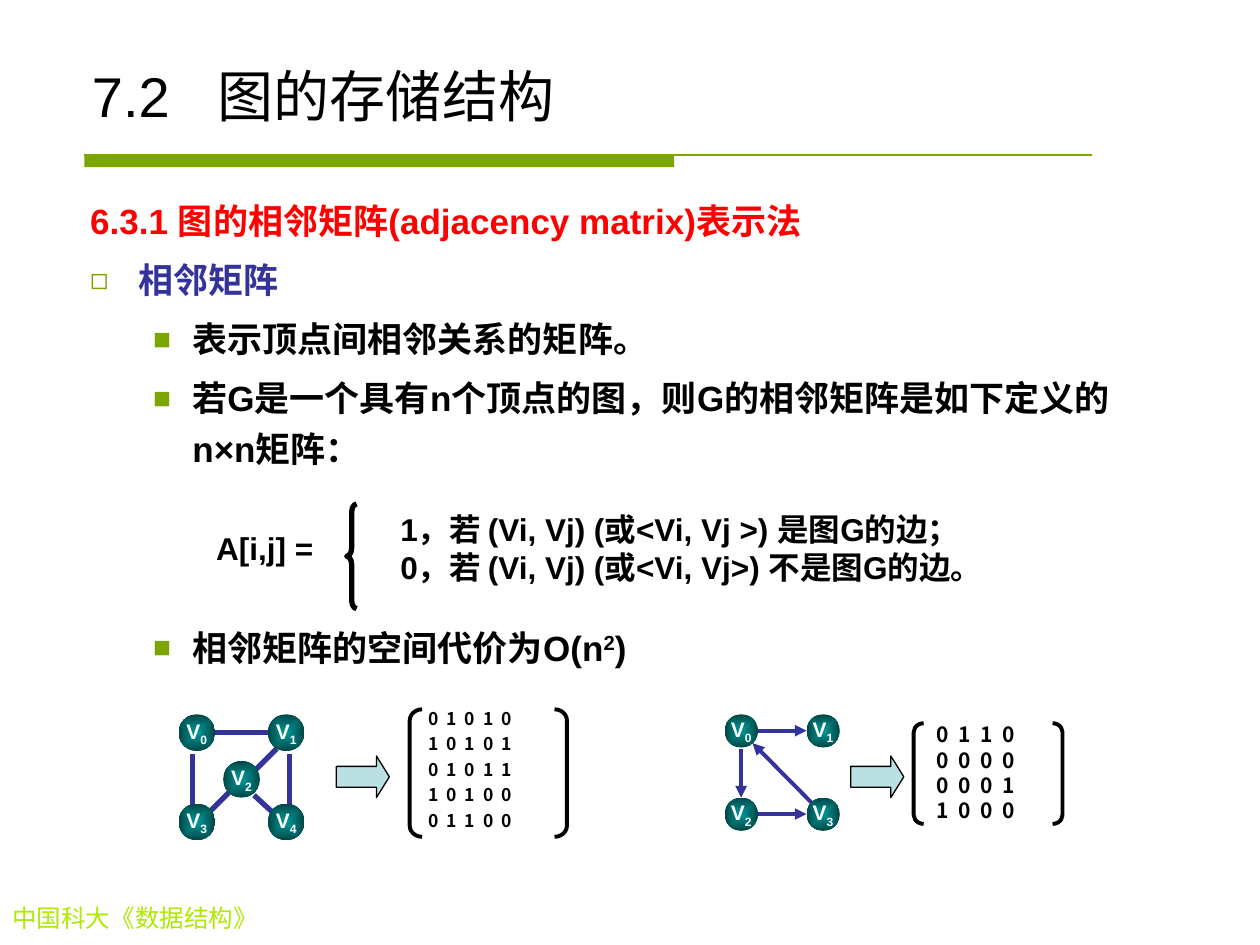
from lxml import etree
from pptx import Presentation
from pptx import util as u
from pptx.dml import color
from pptx.enum import shapes as kinds, text as t
from pptx.oxml import ns

GREEN, BLUE, BLACK = "7BA600", "333399", "000000"
CJK = "Noto Sans CJK SC"


def rgb(value):
    return color.RGBColor.from_string(value)


def child(parent, tag, **attributes):
    return etree.SubElement(parent, ns.qn(tag), attributes)


def write(frame, content, size=20, font="Arial", colour=BLACK, bold=True,
          align=t.PP_ALIGN.LEFT, margin=0, indent=0, bullet=None,
          spacing=None, before=0, tracking=0):
    paragraph = frame.paragraphs[0] if not frame.text else frame.add_paragraph()
    properties = paragraph._p.get_or_add_pPr()
    properties.set("marL", str(u.Cm(margin)))
    properties.set("indent", str(u.Cm(indent)))
    if bullet:
        child(child(properties, "a:buClr"), "a:srgbClr", val=GREEN)
        child(properties, "a:buSzPct", val="85000")
        child(properties, "a:buFont", typeface="Arial")
        child(properties, "a:buChar", char=bullet)
    paragraph.alignment = align
    paragraph.line_spacing = spacing
    paragraph.space_before = u.Pt(before)
    for part, baseline in [(content, 0)] if isinstance(content, str) else content:
        run = paragraph.add_run()
        run.text = part
        run.font.size, run.font.bold = u.Pt(size), bold
        run.font.name, run.font.color.rgb = font, rgb(colour)
        run_properties = run._r.get_or_add_rPr()
        child(run_properties, "a:ea", typeface=CJK)
        if baseline:
            run_properties.set("baseline", str(baseline * 1000))
        if tracking:
            run_properties.set("spc", str(round(tracking * 100)))


def add_text_box(shapes, left, top, width, height):
    frame = shapes.add_textbox(u.Cm(left), u.Cm(top), u.Cm(width), u.Cm(height)).text_frame
    frame.word_wrap = True
    return frame


def add_preset(shapes, kind, left, top, width, height, fill=None, line=None,
               weight=0.75, adjustments=()):
    shape = shapes.add_shape(kind, u.Cm(left), u.Cm(top), u.Cm(width), u.Cm(height))
    shape.shadow.inherit = False
    for index, value in enumerate(adjustments):
        shape.adjustments[index] = value
    if fill:
        shape.fill.solid()
        shape.fill.fore_color.rgb = rgb(fill)
    else:
        shape.fill.background()
    if line:
        shape.line.color.rgb, shape.line.width = rgb(line), u.Pt(weight)
    else:
        shape.line.fill.background()
    return shape


def add_line(shapes, x1, y1, x2, y2, colour, weight, arrow=False):
    line = shapes.add_connector(kinds.MSO_CONNECTOR.STRAIGHT,
                                u.Cm(x1), u.Cm(y1), u.Cm(x2), u.Cm(y2))
    line.line.color.rgb, line.line.width = rgb(colour), u.Pt(weight)
    if arrow:
        child(line.line._get_or_add_ln(), "a:tailEnd", type="triangle")
    child(line._element.spPr, "a:effectLst")


def add_heading(slide, left, top, width, height):
    title = slide.shapes.title
    title.left, title.top, title.width, title.height = map(u.Cm, (left, top, width, height))
    frame = title.text_frame
    frame.auto_size = t.MSO_AUTO_SIZE.NONE
    frame.vertical_anchor = t.MSO_ANCHOR.BOTTOM
    write(frame, "7.2\t图的存储结构", size=32, bold=False)
    rule_left, rule_top = left + 0.1, top + 2.28
    add_preset(slide.shapes, kinds.MSO_SHAPE.RECTANGLE, rule_left, rule_top, 11.89, 0.25, GREEN)
    add_line(slide.shapes, rule_left, rule_top, rule_left + 20.32, rule_top, GREEN, 1)


def add_body(slide, left, top, width, height):
    frame = add_text_box(slide.shapes, left, top, width, height)
    item = dict(margin=2.06, indent=-0.79, bullet="■", spacing=1.2)
    write(frame, "6.3.1 图的相邻矩阵(adjacency matrix)表示法", colour="FF0000",
          margin=0.97, indent=-0.97, spacing=1.2)
    write(frame, "相邻矩阵", colour=BLUE, margin=0.97, indent=-0.97,
          bullet="◻", spacing=1.2, before=5)
    write(frame, "表示顶点间相邻关系的矩阵。", before=5, **item)
    write(frame, "若G是一个具有n个顶点的图，则G的相邻矩阵是如下定义的n×n矩阵：",
          before=5, **item)
    write(frame, "A[i,j] =", size=18, margin=3.18, indent=-0.64, spacing=0.8, before=38)
    write(frame, [("相邻矩阵的空间代价为O(n", 0), ("2", 30), (")", 0)], before=29.5, **item)


def add_cases(slide, left, top, width, height):
    add_preset(slide.shapes, kinds.MSO_SHAPE.LEFT_BRACE, left, top, 0.2, height,
               line=BLACK, weight=3, adjustments=[0.83, 0.5])
    frame = add_text_box(slide.shapes, left + 0.83, top, width - 0.83, 1.78)
    write(frame, "1，若 (Vi, Vj) (或<Vi, Vj >) 是图G的边；", size=18)
    write(frame, "0，若 (Vi, Vj) (或<Vi, Vj>) 不是图G的边。", size=18)


def add_node(shapes, number, left, top, diameter):
    node = add_preset(shapes, kinds.MSO_SHAPE.OVAL, left, top, diameter, diameter)
    node.fill.gradient()
    for stop, value in zip(node.fill.gradient_stops, ("009999", "004646")):
        stop.color.rgb = rgb(value)
    gradient = node._element.spPr.find(ns.qn("a:gradFill"))
    gradient.remove(gradient.find(ns.qn("a:lin")))
    sides = dict.fromkeys("ltrb", "50000")
    child(child(gradient, "a:path", path="rect"), "a:fillToRect", **sides)
    frame = node.text_frame
    frame.word_wrap = False
    frame.vertical_anchor = t.MSO_ANCHOR.MIDDLE
    write(frame, [("V", 0), (str(number), -25)], size=12, colour="FFFFFF",
          align=t.PP_ALIGN.CENTER)


def add_graph(shapes, left, top, diameter, nodes, edges, weight, directed):
    for x1, y1, x2, y2 in edges:
        add_line(shapes, left + x1, top + y1, left + x2, top + y2, BLUE, weight, directed)
    for number, (x, y) in enumerate(nodes):
        add_node(shapes, number, left + x, top + y, diameter)


def add_matrix(shapes, left, top, width, height, rows, size, bracket, inset, before):
    frame = add_text_box(shapes, left + inset, top - 0.15, width - inset, height + 0.2)
    for index, row in enumerate(rows):
        write(frame, " ".join(row), size=size, font=CJK, tracking=size * 0.12,
              before=before if index else 0)
    sides = ((kinds.MSO_SHAPE.LEFT_BRACKET, left),
             (kinds.MSO_SHAPE.RIGHT_BRACKET, left + width - bracket))
    for kind, x in sides:
        add_preset(shapes, kind, x, top, bracket, height, line=BLACK, weight=2.25,
                   adjustments=[0.9])


def add_example(slide, left, top, arrow_left, graph, matrix):
    shapes = slide.shapes.add_group_shape().shapes
    add_graph(shapes, left, top, **graph)
    add_preset(shapes, kinds.MSO_SHAPE.RIGHT_ARROW, left + arrow_left, top + 0.84, 1.07, 0.84,
               "BBE0E3", BLACK, adjustments=[0.5, 0.31])
    add_matrix(shapes, left + arrow_left + matrix.pop("gap"), top + matrix.pop("drop"), **matrix)


def main():
    presentation = Presentation()
    presentation.slide_width, presentation.slide_height = u.Cm(25.4), u.Cm(19.05)
    slide = presentation.slides.add_slide(presentation.slide_layouts[5])
    add_heading(slide, 1.6, 0.84, 22.22, 1.88)
    footer = add_text_box(slide.shapes, 0, 18.08, 7.9, 0.86)
    write(footer, "中国科大《数据结构》", size=14, font="Times New Roman",
          colour="ADEA00", bold=False)
    add_body(slide, 1.57, 3.73, 22.22, 13.79)
    add_cases(slide, 6.99, 10.16, 15, 2.11)
    add_example(
        slide, 3.6, 14.4, 3.18,
        dict(diameter=0.74, weight=3, directed=False,
             nodes=[(0, 0), (1.8, 0), (0.9, 0.94), (0, 1.8), (1.8, 1.8)],
             edges=[(0.28, 0.79, 0.28, 1.83), (0.71, 0.36, 1.9, 0.36),
                    (2.23, 0.79, 2.23, 1.83), (1.04, 1.55, 0.61, 1.98),
                    (1.98, 0.69, 1.55, 1.12), (1.52, 1.63, 1.9, 1.98)]),
        dict(gap=1.48, drop=-0.1, width=3.17, height=2.57, size=10,
             bracket=0.25, inset=0.12, before=2.5,
             rows=["01010", "10101", "01011", "10100", "01100"]))
    add_example(
        slide, 14.61, 14.4, 2.54,
        dict(diameter=0.67, weight=2.25, directed=True,
             nodes=[(0, 0), (1.65, 0), (0, 1.68), (1.65, 1.68)],
             edges=[(0.66, 0.33, 1.65, 0.33), (0.33, 0.69, 0.33, 1.68),
                    (0.66, 2.01, 1.65, 2.01), (1.75, 1.78, 0.56, 0.58)]),
        dict(gap=1.27, drop=0.18, width=3, height=2.03, size=12,
             bracket=0.2, inset=0.2, before=0,
             rows=["0110", "0000", "0001", "1000"]))
    presentation.save("out.pptx")


if __name__ == "__main__":
    main()
